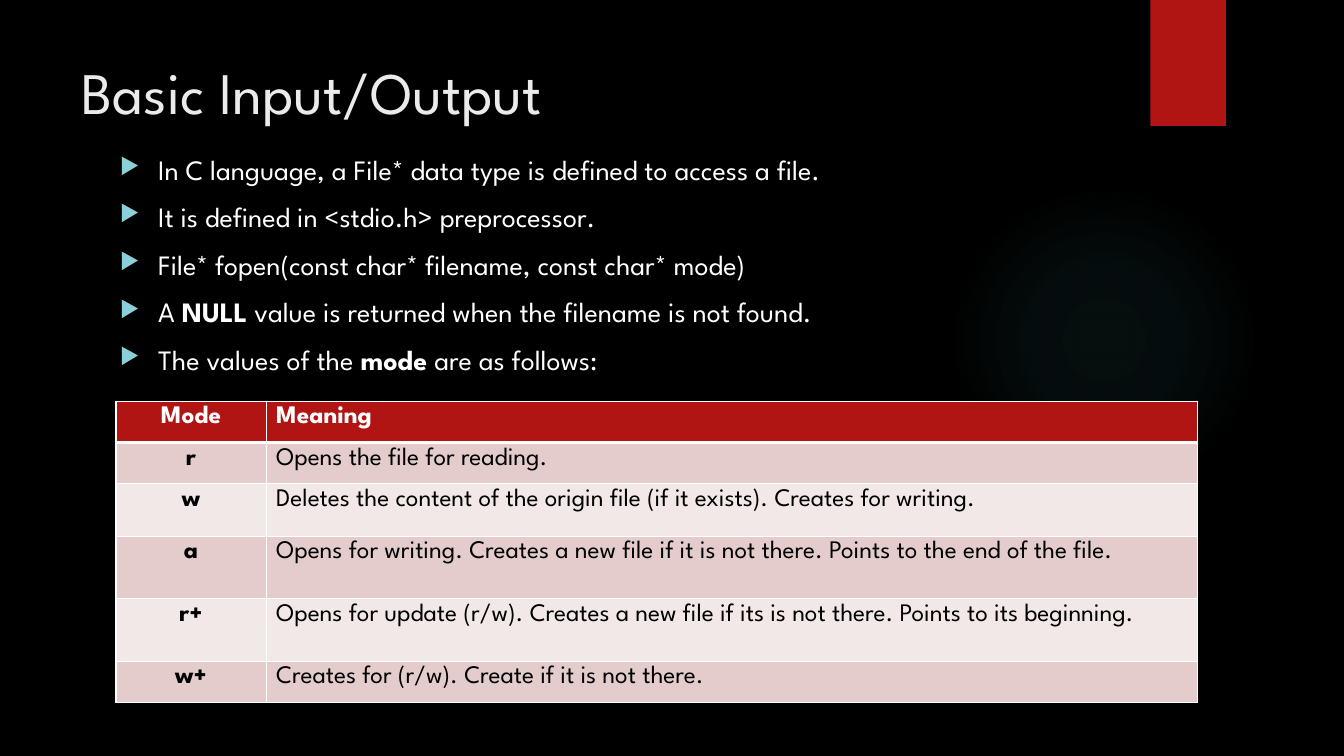
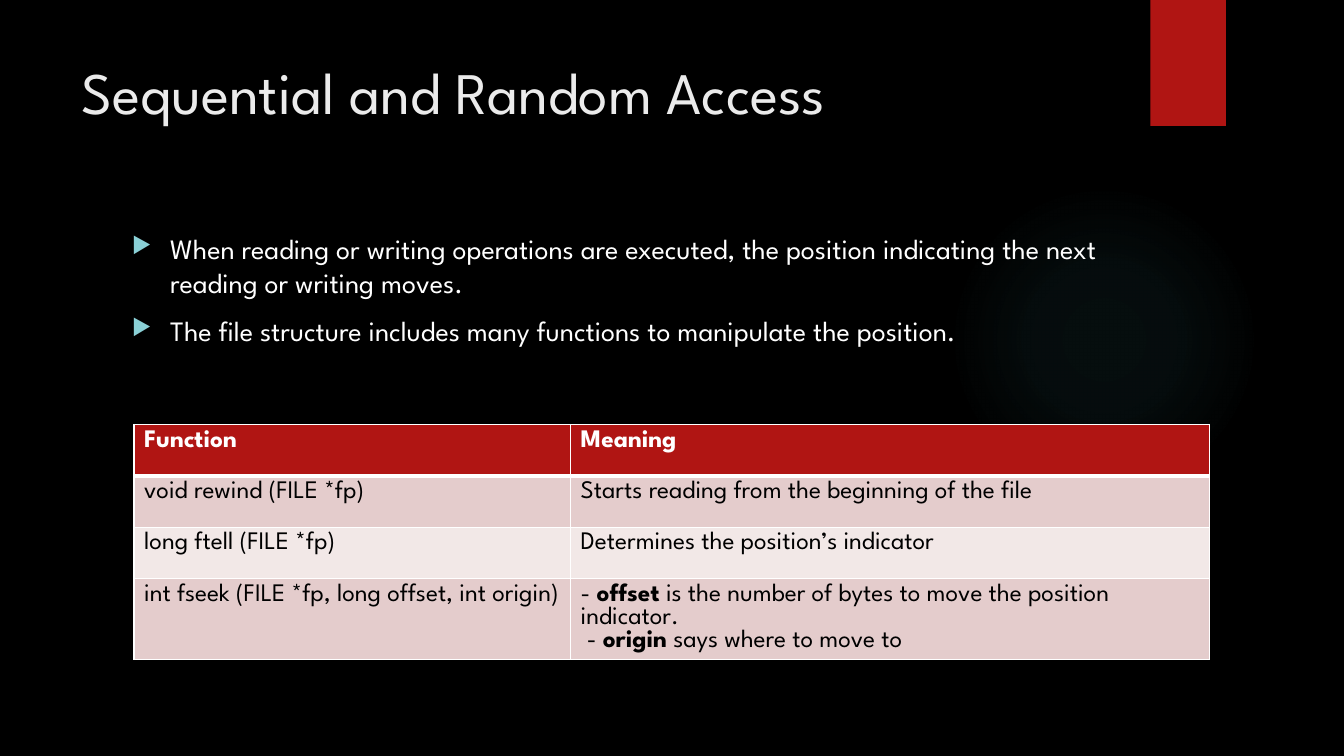
from lxml import etree
from pptx import Presentation
from pptx.dml.color import RGBColor
from pptx.enum.shapes import MSO_SHAPE
from pptx.enum.text import PP_ALIGN
from pptx.oxml import parse_xml
from pptx.oxml.ns import nsdecls, qn
from pptx.util import Inches, Pt

OVAL, RECTANGLE = MSO_SHAPE.OVAL, MSO_SHAPE.RECTANGLE
LEFT, CENTER = PP_ALIGN.LEFT, PP_ALIGN.CENTER

FONT = "League Spartan"
BLACK, WHITE, RED = "000000", "FFFFFF", "B01513"
TEAL, GLOW = "8AD0D6", "50B9C1"
ROW_FILLS = ("E4CCCC", "F2E8E7")
GLOW_STOPS = ((0, 7), (36, 6), (69, 0))

TITLE = {"size": Pt(42), "color": "EBEBEB", "leading": Pt(50.4)}
BODY = {"size": Pt(20), "color": WHITE, "leading": Pt(24)}
HEADER = {"size": Pt(18), "color": WHITE, "leading": Pt(16.6), "bold": True}
CELL = {"size": Pt(18), "color": BLACK, "leading": Pt(16.6)}


def rgb(value):
    return RGBColor.from_string(value)


def paint(fill, color):
    fill.solid()
    fill.fore_color.rgb = rgb(color)


def write_para(para, text, style, align=LEFT, space_before=0):
    layout = {"alignment": align, "line_spacing": style["leading"],
              "space_before": Pt(space_before)}
    for name, value in layout.items():
        setattr(para, name, value)
    for index, part in enumerate(text.split("**")):
        if not part:
            continue
        span = para.add_run()
        span.text = part
        bold = style.get("bold", False) or index % 2 == 1
        for name, value in {"name": FONT, "size": style["size"], "bold": bold}.items():
            setattr(span.font, name, value)
        span.font.color.rgb = rgb(style["color"])


def write_lines(frame, lines, style, **layout):
    for index, line in enumerate(lines):
        para = frame.add_paragraph() if index else frame.paragraphs[0]
        write_para(para, line, style, **layout)


def add_text(page, box, lines, style, **layout):
    frame = page.shapes.add_textbox(*map(Inches, box)).text_frame
    frame.word_wrap = True
    write_lines(frame, lines, style, **layout)
    return frame


def add_decoration(page, kind, box):
    shape = page.shapes.add_shape(kind, *map(Inches, box))
    shape.shadow.inherit = False
    shape.line.fill.background()
    paint(shape.fill, RED)
    return shape


def add_glow(page, box):
    properties = add_decoration(page, OVAL, box).fill._xPr
    stops = "".join(
        f'<a:gs pos="{place * 1000}"><a:srgbClr val="{GLOW}">'
        f'<a:alpha val="{alpha * 1000}"/></a:srgbClr></a:gs>'
        for place, alpha in GLOW_STOPS)
    gradient = parse_xml(
        f'<a:gradFill {nsdecls("a")} rotWithShape="1"><a:gsLst>{stops}</a:gsLst>'
        '<a:path path="circle"><a:fillToRect l="50000" t="50000" r="50000" b="50000"/>'
        '</a:path></a:gradFill>')
    properties.replace(properties.find(qn("a:solidFill")), gradient)


def add_bullets(page, box, lines):
    frame = add_text(page, box, lines, BODY, space_before=10)
    indent = Inches(0.38)
    for para in frame.paragraphs:
        properties = para._p.get_or_add_pPr()
        properties.set("marL", str(indent))
        properties.set("indent", str(-indent))
        color = etree.SubElement(properties, qn("a:buClr"))
        etree.SubElement(color, qn("a:srgbClr"), val=TEAL)
        etree.SubElement(properties, qn("a:buSzPct"), val="80000")
        etree.SubElement(properties, qn("a:buChar"), char="▶")


def add_borders(cell, widths):
    properties = cell._tc.get_or_add_tcPr()
    for side, width in widths.items():
        properties.append(parse_xml(
            f'<a:ln{side} {nsdecls("a")} w="{Pt(width)}"><a:solidFill>'
            f'<a:srgbClr val="{WHITE}"/></a:solidFill></a:ln{side}>'))


def add_grid(page, left, top, widths, heights, rows, key_style, key_align):
    box = (left, top, sum(widths), sum(heights))
    table = page.shapes.add_table(len(rows), len(widths), *map(Inches, box)).table
    for column, width in zip(table.columns, widths):
        column.width = Inches(width)
    for number, (row, height, texts) in enumerate(zip(table.rows, heights, rows)):
        row.height = Inches(height)
        fill = ROW_FILLS[(number - 1) % 2] if number else RED
        for index, (cell, text) in enumerate(zip(row.cells, texts)):
            add_borders(cell, {"L": 1, "R": 1, "T": 3 if number == 1 else 1,
                               "B": 1 if number else 3})
            paint(cell.fill, fill)
            style = HEADER if number == 0 else CELL if index else key_style
            write_lines(cell.text_frame, text.split("\n"), style,
                        align=LEFT if index else key_align)


def add_page(deck, title):
    page = deck.slides.add_slide(deck.slide_layouts[6])
    add_glow(page, (9.41, 1.83, 3.08, 3.08))
    add_decoration(page, RECTANGLE, (11.41, 0, 0.75, 1.25))
    add_text(page, (0.71, 0.5, 10.29, 1.53), [title], TITLE)
    return page


def add_basic_page(deck):
    page = add_page(deck, "Basic Input/Output")
    add_bullets(page, (1.09, 1.46, 9.78, 2.29), [
        "In C language, a File* data type is defined to access a file.",
        "It is defined in <stdio.h> preprocessor.",
        "File* fopen(const char* filename, const char* mode)",
        "A **NULL** value is returned when the filename is not found.",
        "The values of the **mode** are as follows:",
    ])
    add_grid(page, 1.15, 3.98, (1.49, 9.24), (0.41, 0.41, 0.52, 0.62, 0.62, 0.41), [
        ("Mode", "Meaning"),
        ("r", "Opens the file for reading."),
        ("w", "Deletes the content of the origin file (if it exists). Creates for writing."),
        ("a", "Opens for writing. Creates a new file if it is not there. "
              "Points to the end of the file."),
        ("r+", "Opens for update (r/w). Creates a new file if its is not there. "
               "Points to its beginning."),
        ("w+", "Creates for (r/w). Create if it is not there."),
    ], {**CELL, "bold": True}, CENTER)


def add_access_page(deck):
    page = add_page(deck, "Sequential and Random Access")
    add_bullets(page, (1.21, 2.25, 9.78, 4.59), [
        "When reading or writing operations are executed, the position indicating "
        "the next reading or writing moves.",
        "The file structure includes many functions to manipulate the position.",
    ])
    add_grid(page, 1.33, 4.21, (4.33, 6.34), (0.51, 0.51, 0.51, 0.8), [
        ("Function", "Meaning"),
        ("void rewind (FILE *fp)", "Starts reading from the beginning of the file"),
        ("long ftell (FILE *fp)", "Determines the position’s indicator"),
        ("int fseek (FILE *fp, long offset, int origin)",
         "- **offset** is the number of bytes to move the position indicator.\n"
         " - **origin** says where to move to"),
    ], CELL, LEFT)


def main():
    deck = Presentation()
    deck.slide_width, deck.slide_height = Inches(13.33), Inches(7.5)
    paint(deck.slide_master.background.fill, BLACK)
    add_basic_page(deck)
    add_access_page(deck)
    deck.save("out.pptx")


if __name__ == "__main__":
    main()
